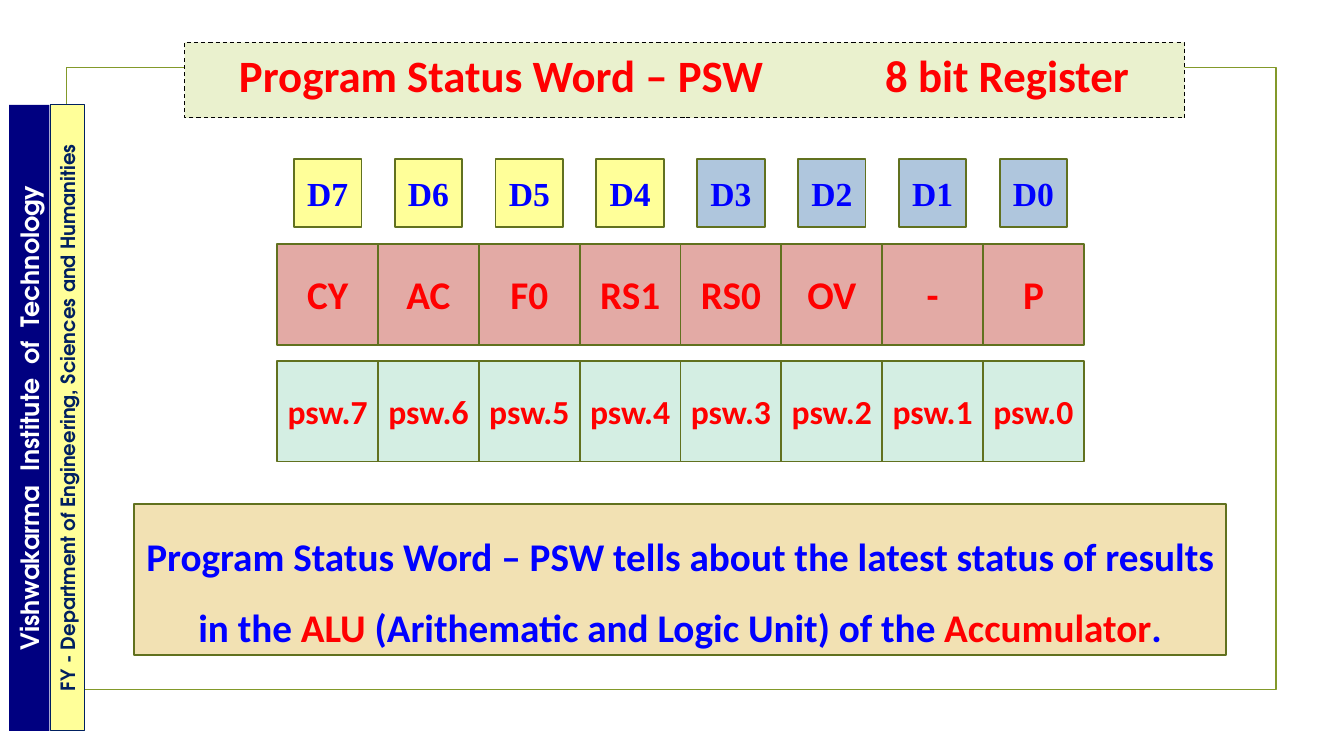
from pptx import Presentation, util as u
from pptx.dml.color import RGBColor
from pptx.enum import dml, shapes, text
from pptx.oxml.xmlchemy import OxmlElement

COLORS = {
    "frame": "83992A", "outline": "61711F", "black": "000000", "white": "FFFFFF",
    "red": "FF0000", "blue": "0000FF", "title": "EAF1CE", "message": "F2E1B3",
    "flag": "E3AAA5", "address": "D4EEE3", "yellow": "FFFF99", "steel": "AFC6DD",
    "navy": "000080", "ink": "002060",
}
FLAGS = ["CY", "AC", "F0", "RS1", "RS0", "OV", "-", "P"]


def rgb(name):
    return RGBColor.from_string(COLORS[name])


def paint(item, fill, line="outline", width=1.25):
    if fill:
        item.fill.solid()
        item.fill.fore_color.rgb = rgb(fill)
    else:
        item.fill.background()
    if line:
        item.line.color.rgb = rgb(line)
        item.line.width = u.Pt(width)
    else:
        item.line.fill.background()


def add_box(slide, box, fill, line="outline", width=1.25):
    item = slide.shapes.add_shape(shapes.MSO_SHAPE.RECTANGLE, *map(u.Inches, box))
    item.shadow.inherit = False
    paint(item, fill, line, width)
    return item


def style(run, size, color, font="Calibri"):
    run.font.name, run.font.size, run.font.bold = font, u.Pt(size), True
    run.font.color.rgb = rgb(color)


def write(item, parts, size, font="Calibri", margin=0.1):
    """Fill one centred paragraph with (words, colour) parts."""
    frame = item.text_frame
    frame.word_wrap = True
    frame.vertical_anchor = text.MSO_ANCHOR.MIDDLE
    frame.margin_left = frame.margin_right = u.Inches(margin)
    paragraph = frame.paragraphs[0]
    paragraph.alignment = text.PP_ALIGN.CENTER
    for words, color in parts:
        run = paragraph.add_run()
        run.text = words
        style(run, size, color, font)
    return paragraph


def page_frame(slide, box):
    border = add_box(slide, box, None, "frame")
    slide.shapes._spTree.insert(2, border._element)  # behind the title


def title_bar(slide, box):
    title = slide.shapes.title
    title.left, title.top, title.width, title.height = map(u.Inches, box)
    paint(title, "title", "black", 0.75)
    title.line.dash_style = dml.MSO_LINE.DASH
    frame = title.text_frame
    frame.text = "Program Status Word – PSW\t8 bit Register"
    frame.auto_size = text.MSO_AUTO_SIZE.NONE
    frame.vertical_anchor = text.MSO_ANCHOR.TOP
    frame.margin_left = u.Inches(0.54)
    paragraph = frame.paragraphs[0]
    paragraph.alignment = text.PP_ALIGN.LEFT
    # Tab stop for the second half of the title
    stops = OxmlElement("a:tabLst")
    stop = OxmlElement("a:tab")
    stop.set("pos", str(u.Inches(6.41)))
    stop.set("algn", "l")
    stops.append(stop)
    paragraph._p.get_or_add_pPr().append(stops)
    for run in paragraph.runs:
        style(run, 32, "red")


def register(slide, box):
    """Bit labels, flag names and bit addresses, one column per bit."""
    left, top, width, _ = box
    cell = width / len(FLAGS)
    label = 0.67
    for column, flag in enumerate(FLAGS):
        bit = len(FLAGS) - 1 - column
        x = left + column * cell
        bit_label = add_box(slide, (x + (cell - label) / 2, top, label, label),
                            "yellow" if bit > 3 else "steel")
        write(bit_label, [(f"D{bit}", "blue")], 24, "Times New Roman", 0.05)
        flag_cell = add_box(slide, (x, top + 0.84, cell, cell), "flag")
        write(flag_cell, [(flag, "red")], 28, margin=0.05)
        address = add_box(slide, (x, top + 2, cell, cell), "address")
        write(address, [(f"psw.{bit}", "red")], 24, margin=0.05)


def message_panel(slide, box):
    panel = add_box(slide, box, "message")
    paragraph = write(panel, [
        ("Program Status Word – PSW tells about the latest status of results in the ", "blue"),
        ("ALU", "red"),
        (" (Arithematic and Logic Unit) of the ", "blue"),
        ("Accumulator", "red"),
        (".", "blue"),
    ], 28)
    paragraph.line_spacing = 1.5


def side_banner(slide, box, parts, size, color, fill, line=None, word_gap=0):
    """Upright banner, read from bottom to top, filling the given box."""
    left, top, width, height = box
    banner = add_box(slide, (left + (width - height) / 2, top + (height - width) / 2,
                             height, width), fill, line, 0.75)
    banner.rotation = 270
    paragraph = write(banner, [(part, color) for part in parts], size, "TeX Gyre Adventor")
    for run in paragraph.runs:
        if run.text == " ":  # widen the gaps between words
            run._r.get_or_add_rPr().set("spc", str(word_gap * 100))


def main():
    deck = Presentation()
    deck.slide_width, deck.slide_height = u.Inches(13.33), u.Inches(7.5)
    slide = deck.slides.add_slide(deck.slide_layouts[5])
    page_frame(slide, (0.66, 0.67, 12, 6.17))
    message_panel(slide, (1.33, 5, 10.83, 1.5))
    title_bar(slide, (1.83, 0.42, 9.92, 0.75))
    register(slide, (2.75, 1.58, 8, 3))
    side_banner(slide, (0.09, 1.04, 0.4, 6.21),
                ["Vishwakarma", " ", "Institute", " ", "of", " ", "Technology"],
                18, "white", "navy", word_gap=5)
    side_banner(slide, (0.5, 1.04, 0.34, 6.21),
                ["FY - Department of Engineering, Sciences and Humanities"],
                14, "ink", "yellow", "ink")
    deck.save("out.pptx")


if __name__ == "__main__":
    main()
